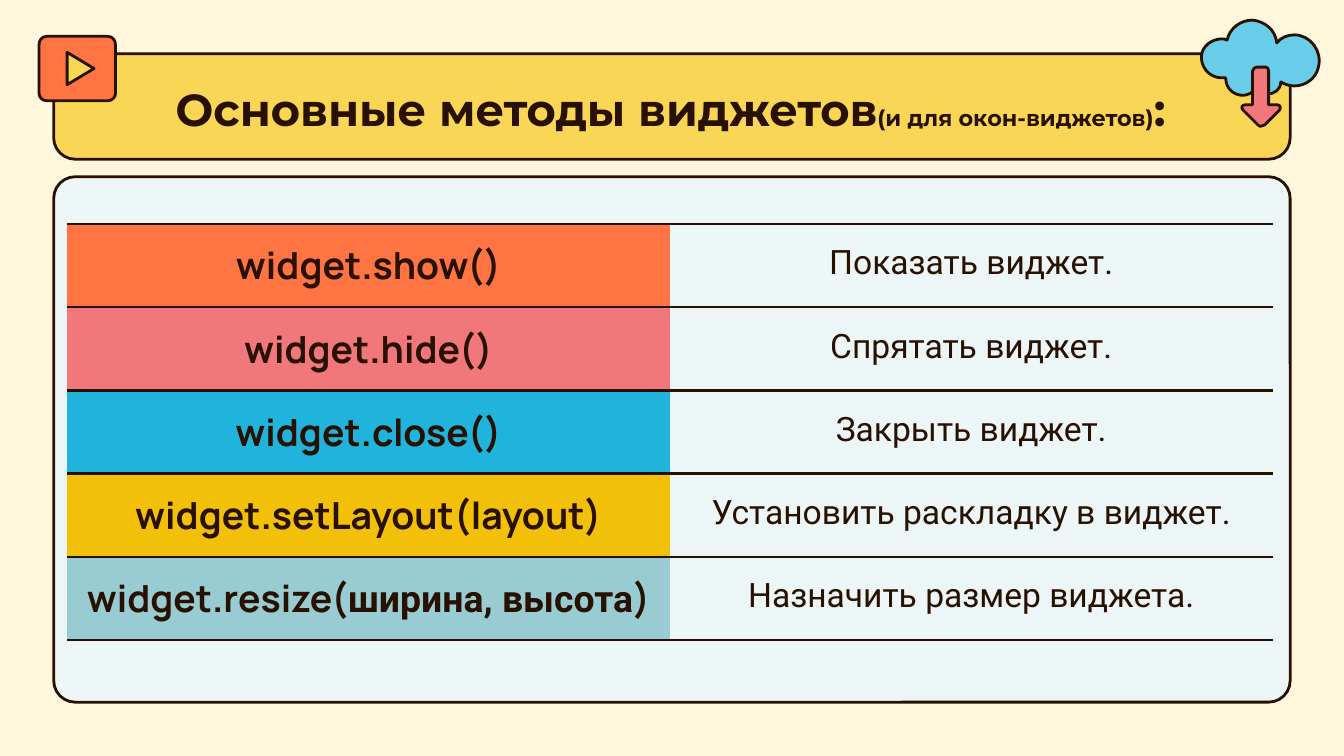
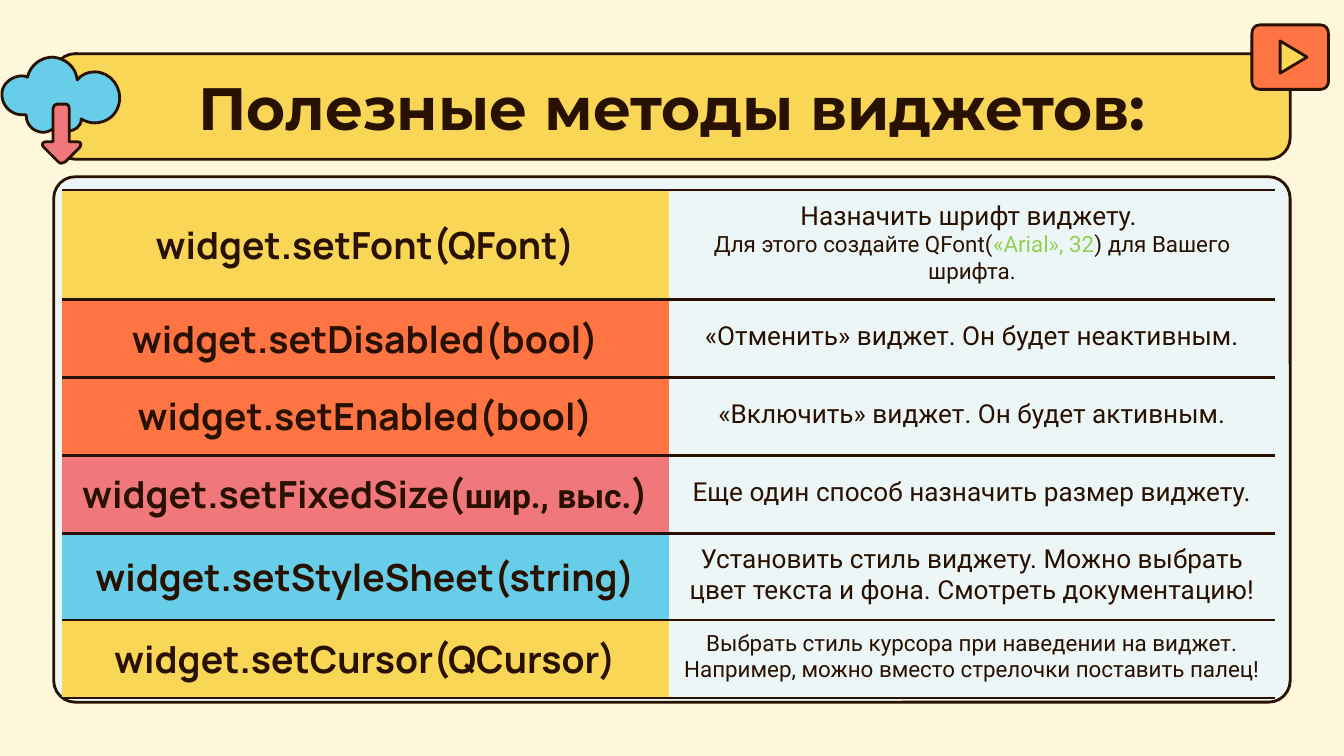
import dataclasses
import pptx
import pptx.dml.color
import pptx.enum.shapes
import pptx.enum.text
import pptx.oxml
import pptx.oxml.ns
import pptx.util

PX = 4572  # EMU in one px (200 px to the inch)
LINE_WIDTH = 1.5
COLORS = {
    "cream": "FFF7DC", "panel": "EDF6F7", "ink": "281101", "yellow": "F9D656",
    "orange": "FE7443", "pink": "F0787A", "sky": "68CDE9", "blue": "20B4DD",
    "gold": "F3C009", "teal": "99CCD2", "green": "92D050",
}
NO_STYLE = "{2D5ABB26-0587-4C30-8999-92F81FD0307C}"


@dataclasses.dataclass(frozen=True)
class Run:
    text: str
    size: int
    font: str = "Roboto"
    color: str = "ink"
    bold: bool = False


@dataclasses.dataclass(frozen=True)
class Row:
    color: str
    method: tuple[Run, ...]
    description: tuple[tuple[Run, ...], ...]
    height: int


@dataclasses.dataclass(frozen=True)
class Outline:
    """Start point, then lines (2 numbers) and Bezier curves (6 numbers), in px."""
    color: str
    start: tuple[int, int]
    segments: tuple[tuple[int, ...], ...]


@dataclasses.dataclass(frozen=True)
class MethodsSlide:
    title: tuple[Run, ...]
    title_box: tuple[int, int, int, int]
    cloud_at: tuple[int, int]
    video_at: tuple[int, int]
    table_at: tuple[int, int]
    column: int
    rows: tuple[Row, ...]


# Icons
CLOUD = (
    Outline("sky", (78, 0), (
        (60, 0, 44, 12, 40, 30), (38, 28, 34, 28, 32, 28),
        (18, 28, 4, 38, 2, 52), (0, 70, 14, 86, 32, 86),
        (34, 86, 36, 86, 38, 86), (38, 102, 50, 112, 64, 112),
        (70, 112, 78, 108, 84, 102), (88, 108, 94, 110, 100, 110),
        (110, 110, 120, 104, 120, 92), (126, 96, 134, 98, 140, 98),
        (156, 98, 172, 88, 176, 70), (182, 46, 164, 22, 140, 22),
        (130, 22, 120, 26, 114, 34), (112, 14, 96, 2, 78, 0))),
    Outline("pink", (84, 70), (
        (82, 70, 78, 72, 78, 76), (78, 126), (68, 126),
        (62, 126, 60, 130, 64, 134), (86, 156), (88, 158, 90, 158, 90, 158),
        (92, 158, 94, 158, 96, 156), (118, 134), (120, 130, 120, 126, 114, 126),
        (102, 126), (102, 76), (102, 72, 100, 70, 98, 70))),
)
VIDEO = (
    Outline("orange", (12, 0), (
        (4, 0, 0, 6, 0, 14), (0, 84), (0, 90, 4, 96, 12, 96), (102, 96),
        (110, 96, 114, 90, 114, 84), (114, 14), (114, 6, 110, 0, 102, 0))),
    Outline("yellow", (42, 24), ((42, 72), (82, 48))),
)


def rgb(name: str) -> pptx.dml.color.RGBColor:
    return pptx.dml.color.RGBColor.from_string(COLORS[name])


def paint(sp, color: str) -> None:
    sp.shadow.inherit = False
    sp.fill.solid()
    sp.fill.fore_color.rgb = rgb(color)
    sp.line.color.rgb = rgb("ink")
    sp.line.width = pptx.util.Pt(LINE_WIDTH)


def add_text(p, text: str, *, size: int, font: str, color: str, bold: bool) -> None:
    r = p.add_run()
    r.text = text
    r.font.size = pptx.util.Pt(size)
    r.font.name = font
    r.font.bold = bold
    r.font.color.rgb = rgb(color)


def fill_frame(tf, lines: tuple[tuple[Run, ...], ...]) -> None:
    for i, runs in enumerate(lines):
        p = tf.add_paragraph() if i else tf.paragraphs[0]
        p.alignment = pptx.enum.text.PP_ALIGN.CENTER
        for run in runs:
            add_text(p, **dataclasses.asdict(run))


def add_band(slide, box: tuple[int, int, int, int], radius: float, color: str) -> None:
    sp = slide.shapes.add_shape(
        pptx.enum.shapes.MSO_SHAPE.ROUNDED_RECTANGLE, *(v * PX for v in box))
    sp.adjustments[0] = radius
    paint(sp, color)


def bend(sp, outline: Outline) -> None:
    """Turn the straight segments that stand for curves into Bezier curves."""
    anchors = [outline.start] + [seg[-2:] for seg in outline.segments]
    left, top = (min(axis) for axis in zip(*anchors))
    lines = list(sp._element.iter(pptx.oxml.ns.qn("a:lnTo")))
    for line, seg in zip(lines, outline.segments):
        if len(seg) == 6:
            points = "".join(
                f'<a:pt x="{(x - left) * PX}" y="{(y - top) * PX}"/>'
                for x, y in zip(seg[::2], seg[1::2]))
            curve = pptx.oxml.parse_xml(
                f'<a:cubicBezTo {pptx.oxml.ns.nsdecls("a")}>{points}</a:cubicBezTo>')
            line.getparent().replace(line, curve)


def add_icon(slide, outlines: tuple[Outline, ...], at: tuple[int, int]) -> None:
    group = slide.shapes.add_group_shape()
    for outline in outlines:
        anchors = [outline.start] + [seg[-2:] for seg in outline.segments]
        points = [((x + at[0]) * PX, (y + at[1]) * PX) for x, y in anchors]
        fb = group.shapes.build_freeform(*points[0], scale=1.0)
        fb.add_line_segments(points[1:], close=True)
        sp = fb.convert_to_shape()
        bend(sp, outline)
        paint(sp, outline.color)


def add_title(slide, runs: tuple[Run, ...], box: tuple[int, int, int, int]) -> None:
    tf = slide.shapes.add_textbox(*(v * PX for v in box)).text_frame
    tf.word_wrap = True
    tf.margin_left = tf.margin_right = tf.margin_top = tf.margin_bottom = 20 * PX
    fill_frame(tf, (runs,))


def set_borders(cell) -> None:
    tcPr = cell._tc.get_or_add_tcPr()
    for i, side in enumerate("TB"):
        tcPr.insert(i, pptx.oxml.parse_xml(
            f'<a:ln{side} {pptx.oxml.ns.nsdecls("a")} w="{pptx.util.Pt(LINE_WIDTH)}">'
            f'<a:solidFill><a:srgbClr val="{COLORS["ink"]}"/></a:solidFill>'
            f'</a:ln{side}>'))


def add_methods_table(slide, page: MethodsSlide) -> None:
    x, y = page.table_at
    height = sum(row.height for row in page.rows)
    table = slide.shapes.add_table(
        len(page.rows), 2, x * PX, y * PX, 2 * page.column * PX, height * PX).table
    table.first_row = table.horz_banding = False
    table._tbl.tblPr.find(pptx.oxml.ns.qn("a:tableStyleId")).text = NO_STYLE
    for i, row in enumerate(page.rows):
        table.rows[i].height = row.height * PX
        method, description = table.cell(i, 0), table.cell(i, 1)
        method.fill.solid()
        method.fill.fore_color.rgb = rgb(row.color)
        description.fill.background()
        for cell, lines, margin_top in ((method, (row.method,), 20),
                                        (description, row.description, 14)):
            cell.vertical_anchor = pptx.enum.text.MSO_ANCHOR.MIDDLE
            cell.margin_left = cell.margin_right = cell.margin_bottom = 20 * PX
            cell.margin_top = margin_top * PX
            fill_frame(cell.text_frame, lines)
            set_borders(cell)


def add_methods_slide(prs, page: MethodsSlide) -> None:
    slide = prs.slides.add_slide(prs.slide_layouts[6])
    slide.background.fill.solid()
    slide.background.fill.fore_color.rgb = rgb("cream")
    add_band(slide, (80, 263, 1840, 782), 0.041, "panel")
    add_band(slide, (80, 80, 1840, 157), 0.204, "yellow")
    add_icon(slide, CLOUD, page.cloud_at)
    add_icon(slide, VIDEO, page.video_at)
    add_title(slide, page.title, page.title_box)
    add_methods_table(slide, page)


# Content
def heading(text: str, size: int) -> Run:
    return Run(text, size, "Montserrat", bold=True)


def code(text: str) -> Run:
    return Run(text, 20, "Manrope", bold=True)


def call(name: str, args: str, size: int) -> tuple[Run, ...]:
    """A method whose arguments are in words."""
    return code(name + "("), Run(args, size, bold=True), code(")")


def basic(color: str, method: tuple[Run, ...], text: str) -> Row:
    return Row(color, method, ((Run(text, 18),),), 124)


def useful(color: str, method: tuple[Run, ...], text: str,
           height: int = 116, size: int = 14) -> Row:
    return Row(color, method, ((Run(text, size),),), height)


PAGES = (
    MethodsSlide(
        title=(heading("Основные методы виджетов", 24),
               heading("(и для окон-виджетов)", 12), heading(":", 24)),
        title_box=(155, 102, 1686, 116),
        cloud_at=(1786, 30), video_at=(58, 54),
        table_at=(100, 333), column=897,
        rows=(
            basic("orange", (code("widget.show()"),), "Показать виджет."),
            basic("pink", (code("widget.hide()"),), "Спрятать виджет."),
            basic("blue", (code("widget.close()"),), "Закрыть виджет."),
            basic("gold", (code("widget.setLayout(layout)"),),
                  "Установить раскладку в виджет."),
            basic("teal", call("widget.resize", "ширина, высота", 20),
                  "Назначить размер виджета."),
        )),
    MethodsSlide(
        title=(heading("Полезные методы виджетов:", 32),),
        title_box=(157, 85, 1686, 130),
        cloud_at=(1, 85), video_at=(1863, 37),
        table_at=(92, 283), column=903,
        rows=(
            Row("yellow", (code("widget.setFont(QFont)"),), (
                (Run("Назначить шрифт виджету. ", 14),),
                (Run("Для этого создайте QFont(", 12),
                 Run("«Arial», 32", 12, color="green"),
                 Run(") для Вашего шрифта.", 12))), 163),
            useful("orange", (code("widget.setDisabled(bool)"),),
                   "«Отменить» виджет. Он будет неактивным."),
            useful("orange", (code("widget.setEnabled(bool)"),),
                   "«Включить» виджет. Он будет активным."),
            useful("pink", call("widget.setFixedSize", "шир., выс.", 18),
                   "Еще один способ назначить размер виджету."),
            useful("sky", (code("widget.setStyleSheet(string)"),),
                   "Установить стиль виджету. Можно выбрать цвет текста и фона. "
                   "Смотреть документацию!", height=129),
            useful("yellow", (code("widget.setCursor(QCursor)"),),
                   "Выбрать стиль курсора при наведении на виджет. "
                   "Например, можно вместо стрелочки поставить палец!", size=12),
        )),
)


def main() -> None:
    prs = pptx.Presentation()
    prs.slide_width = 2000 * PX
    prs.slide_height = 1125 * PX
    for page in PAGES:
        add_methods_slide(prs, page)
    prs.save("out.pptx")


if __name__ == "__main__":
    main()
